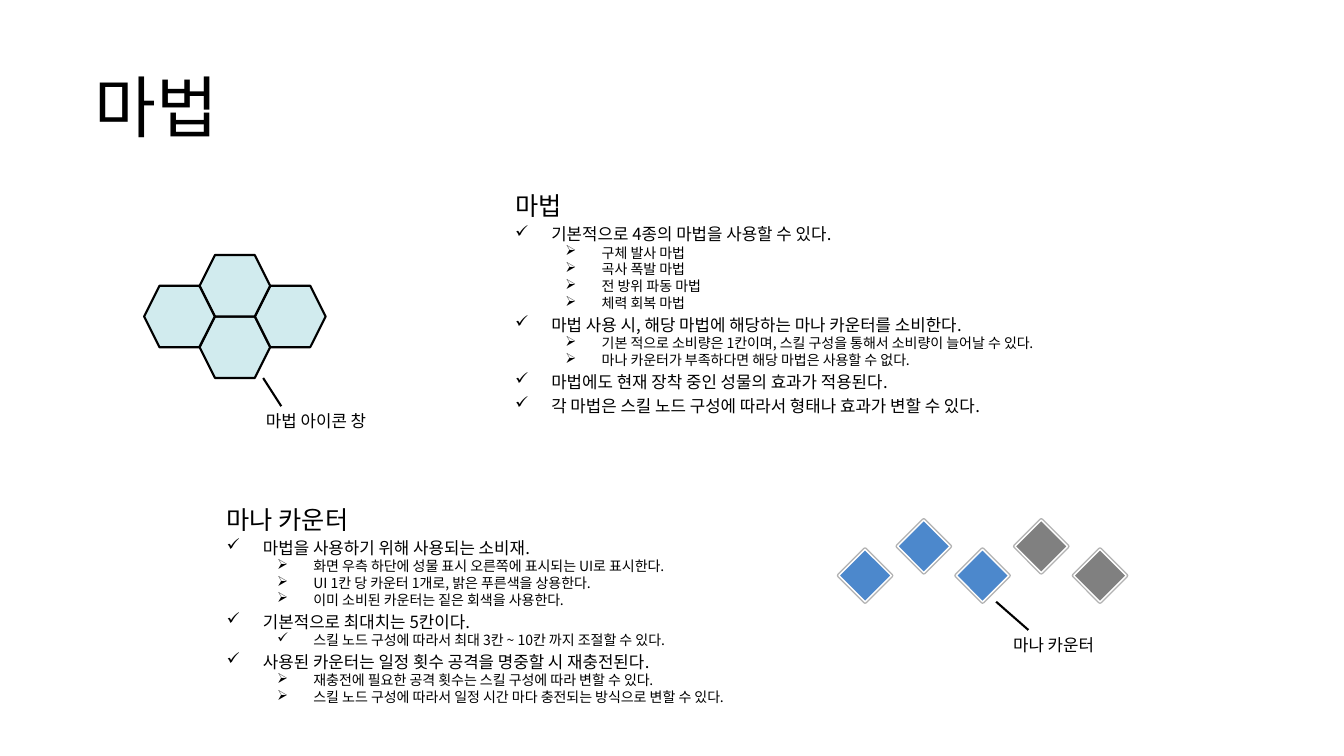
from dataclasses import dataclass

from lxml import etree
from pptx import Presentation
from pptx import util as u
from pptx.dml.color import RGBColor
from pptx.enum import shapes, text
from pptx.oxml.ns import qn


@dataclass(frozen=True)
class Theme:
    font: str = "Noto Sans CJK KR"
    ink: str = "000000"
    hexagon: str = "D1EBEE"
    mana: str = "4C88CC"
    spent: str = "808080"
    rim: str = "B2B2B2"
    gap: str = "FFFFFF"
    title: int = 48
    heading: int = 18
    body: int = 12
    detail: int = 10
    leading: float = 1.2
    item_gap: float = 2.4
    stroke: float = 1.5


T = Theme()
CHECK, ARROW = "✓", "➢"

# Each entry: level, bullet, wording
MAGIC = [
    (0, CHECK, "기본적으로 4종의 마법을 사용할 수 있다."),
    (1, ARROW, "구체 발사 마법"),
    (1, ARROW, "곡사 폭발 마법"),
    (1, ARROW, "전 방위 파동 마법"),
    (1, ARROW, "체력 회복 마법"),
    (0, CHECK, "마법 사용 시, 해당 마법에 해당하는 마나 카운터를 소비한다."),
    (1, ARROW, "기본 적으로 소비량은 1칸이며, 스킬 구성을 통해서 소비량이 늘어날 수 있다."),
    (1, ARROW, "마나 카운터가 부족하다면 해당 마법은 사용할 수 없다."),
    (0, CHECK, "마법에도 현재 장착 중인 성물의 효과가 적용된다."),
    (0, CHECK, "각 마법은 스킬 노드 구성에 따라서 형태나 효과가 변할 수 있다."),
]
MANA = [
    (0, CHECK, "마법을 사용하기 위해 사용되는 소비재."),
    (1, ARROW, "화면 우측 하단에 성물 표시 오른쪽에 표시되는 UI로 표시한다."),
    (1, ARROW, "UI 1칸 당 카운터 1개로, 밝은 푸른색을 상용한다."),
    (1, ARROW, "이미 소비된 카운터는 짙은 회색을 사용한다."),
    (0, CHECK, "기본적으로 최대치는 5칸이다."),
    (1, CHECK, "스킬 노드 구성에 따라서 최대 3칸 ~ 10칸 까지 조절할 수 있다."),
    (0, CHECK, "사용된 카운터는 일정 횟수 공격을 명중할 시 재충전된다."),
    (1, ARROW, "재충전에 필요한 공격 횟수는 스킬 구성에 따라 변할 수 있다."),
    (1, ARROW, "스킬 노드 구성에 따라서 일정 시간 마다 충전되는 방식으로 변할 수 있다."),
]


def rgb(color):
    return RGBColor.from_string(color)


def add_run(p, words, size):
    p.alignment = text.PP_ALIGN.LEFT
    p.line_spacing = u.Pt(size * T.leading)
    r = p.add_run()
    r.text = words
    r.font.size = u.Pt(size)
    r.font.name = T.font
    r.font.color.rgb = rgb(T.ink)
    etree.SubElement(r._r.get_or_add_rPr(), qn("a:ea")).set("typeface", T.font)


def set_bullet(p, level, bullet):
    p.level = level
    pPr = p._p.get_or_add_pPr()
    pPr.set("marL", str(u.Inches(0.36 + 0.5 * level)))
    pPr.set("indent", str(u.Inches(-0.36)))
    etree.SubElement(pPr, qn("a:buChar")).set("char", bullet)


def add_title(s, words):
    sp = s.shapes.title
    sp.left, sp.top = u.Inches(0.84), u.Inches(0.46)
    sp.width, sp.height = u.Inches(7.64), u.Inches(1.17)
    tf = sp.text_frame
    tf.auto_size = text.MSO_AUTO_SIZE.NONE
    tf.vertical_anchor = text.MSO_ANCHOR.MIDDLE
    add_run(tf.paragraphs[0], words, T.title)


def add_text(s, box, words, size, wrap=True):
    tf = s.shapes.add_textbox(*map(u.Inches, box)).text_frame
    tf.word_wrap = wrap
    tf.auto_size = text.MSO_AUTO_SIZE.SHAPE_TO_FIT_TEXT
    add_run(tf.paragraphs[0], words, size)
    return tf


def add_section(s, box, heading, items):
    tf = add_text(s, box, heading, T.heading)
    for level, bullet, words in items:
        p = tf.add_paragraph()
        set_bullet(p, level, bullet)
        p.space_before = u.Pt(0 if level else T.item_gap)
        add_run(p, words, T.detail if level else T.body)


def add_tile(group, kind, box, fill, line, width):
    sp = group.shapes.add_shape(kind, *map(u.Inches, box))
    sp.shadow.inherit = False
    sp.fill.solid()
    sp.fill.fore_color.rgb = rgb(fill)
    sp.line.color.rgb = rgb(line)
    sp.line.width = u.Pt(width)


def add_pointer(s, *ends):
    line = s.shapes.add_connector(shapes.MSO_CONNECTOR.STRAIGHT, *map(u.Inches, ends))
    line.line.color.rgb = rgb(T.ink)
    line.line.width = u.Pt(T.stroke)
    etree.SubElement(line._element.spPr, qn("a:effectLst"))


def add_magic_icons(s):
    group = s.shapes.add_group_shape()
    width, height = 0.7, 0.61
    # Honeycomb steps: columns, then half rows
    for column, half_row in [(1, 2), (2, 1), (1, 0), (0, 1)]:
        box = (1.43 + 0.55 * column, 2.53 + half_row * height / 2, width, height)
        add_tile(group, shapes.MSO_SHAPE.HEXAGON, box, T.hexagon, T.ink, T.stroke)


def add_mana_counters(s):
    group = s.shapes.add_group_shape()
    for i, fill in enumerate([T.mana] * 3 + [T.spent] * 2):
        box = (8.32 + 0.5825 * i, 5.16 if i % 2 else 5.45, 0.52, 0.52)
        # Grey rim below, white-edged face above
        for face, line, width in [(T.mana, T.rim, 3), (fill, T.gap, 1)]:
            add_tile(group, shapes.MSO_SHAPE.DIAMOND, box, face, line, width)


def main():
    prs = Presentation()
    prs.slide_width, prs.slide_height = u.Inches(13.33), u.Inches(7.5)
    s = prs.slides.add_slide(prs.slide_layouts[5])
    add_title(s, "마법")

    # Magic
    add_section(s, (5.01, 1.84, 7.13, 2.34), "마법", MAGIC)
    add_magic_icons(s)
    add_text(s, (2.54, 4.03, 1.33, 0.3), "마법 아이콘 창", T.body)
    add_pointer(s, 2.61, 3.75, 2.79, 4.03)

    # Mana counter
    add_mana_counters(s)
    add_text(s, (9.95, 6.25, 1.06, 0.3), "마나 카운터", T.body, wrap=False)
    add_pointer(s, 9.88, 5.97, 10.2, 6.25)
    add_section(s, (2.15, 4.95, 6.01, 2.1), "마나 카운터", MANA)

    prs.save("out.pptx")


if __name__ == "__main__":
    main()
